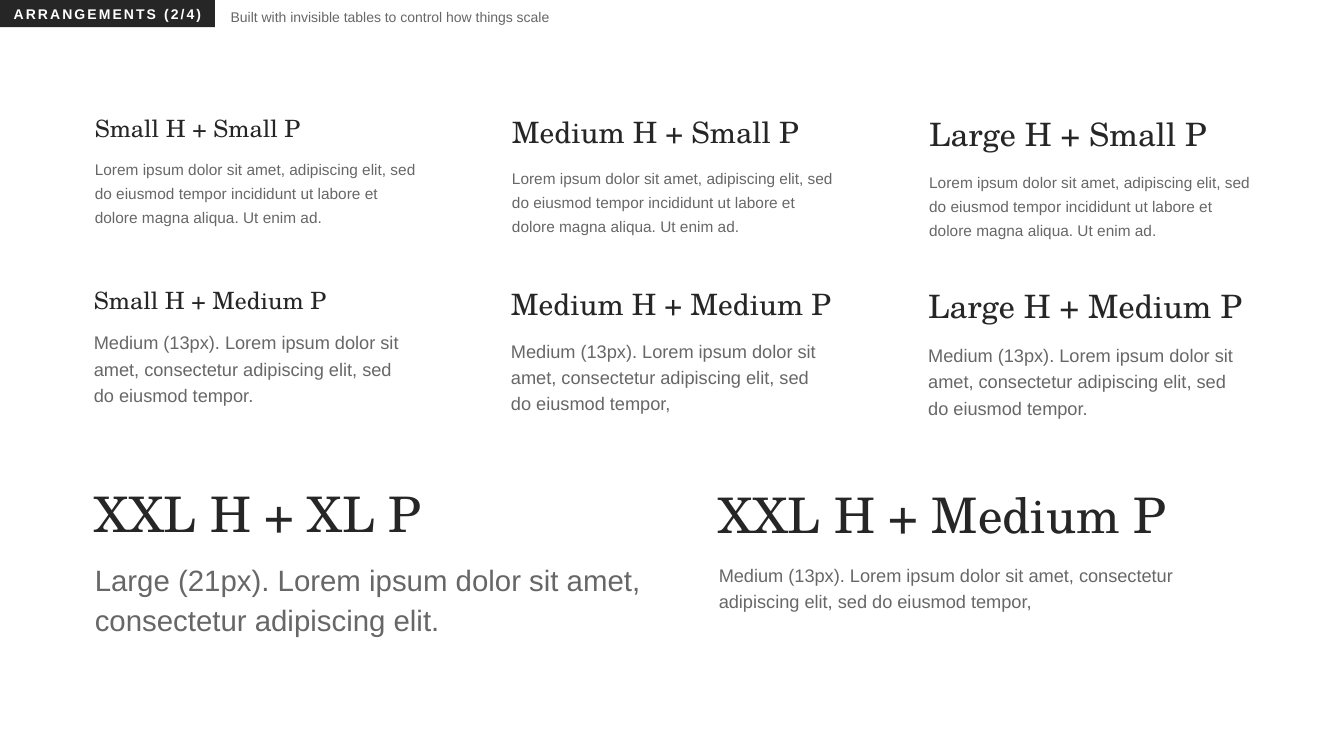
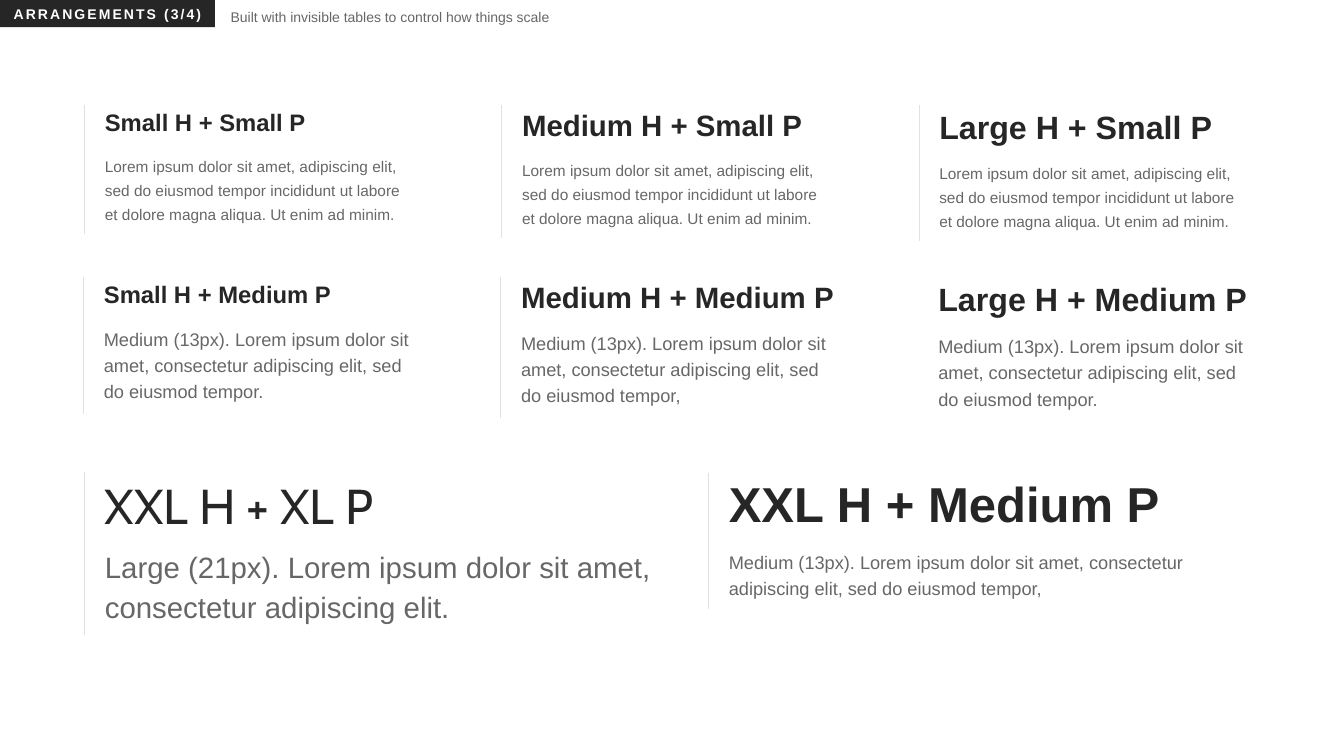
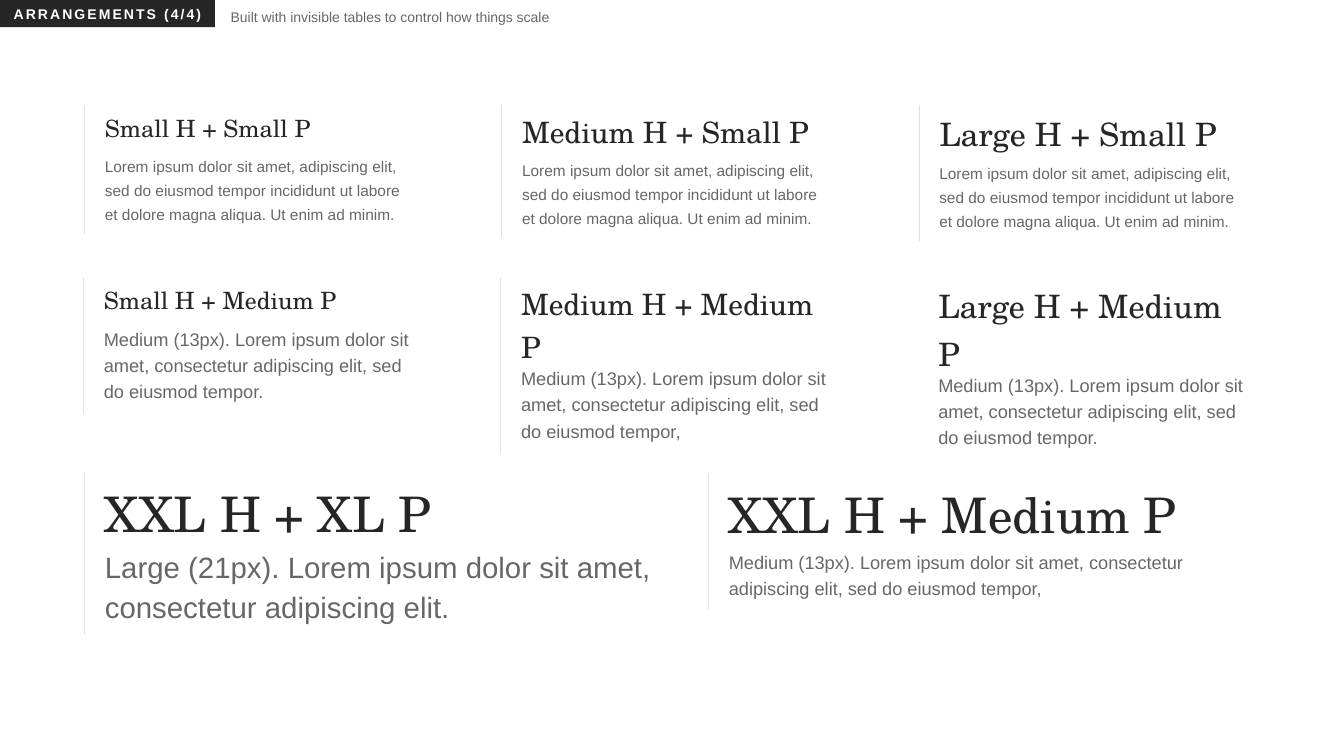
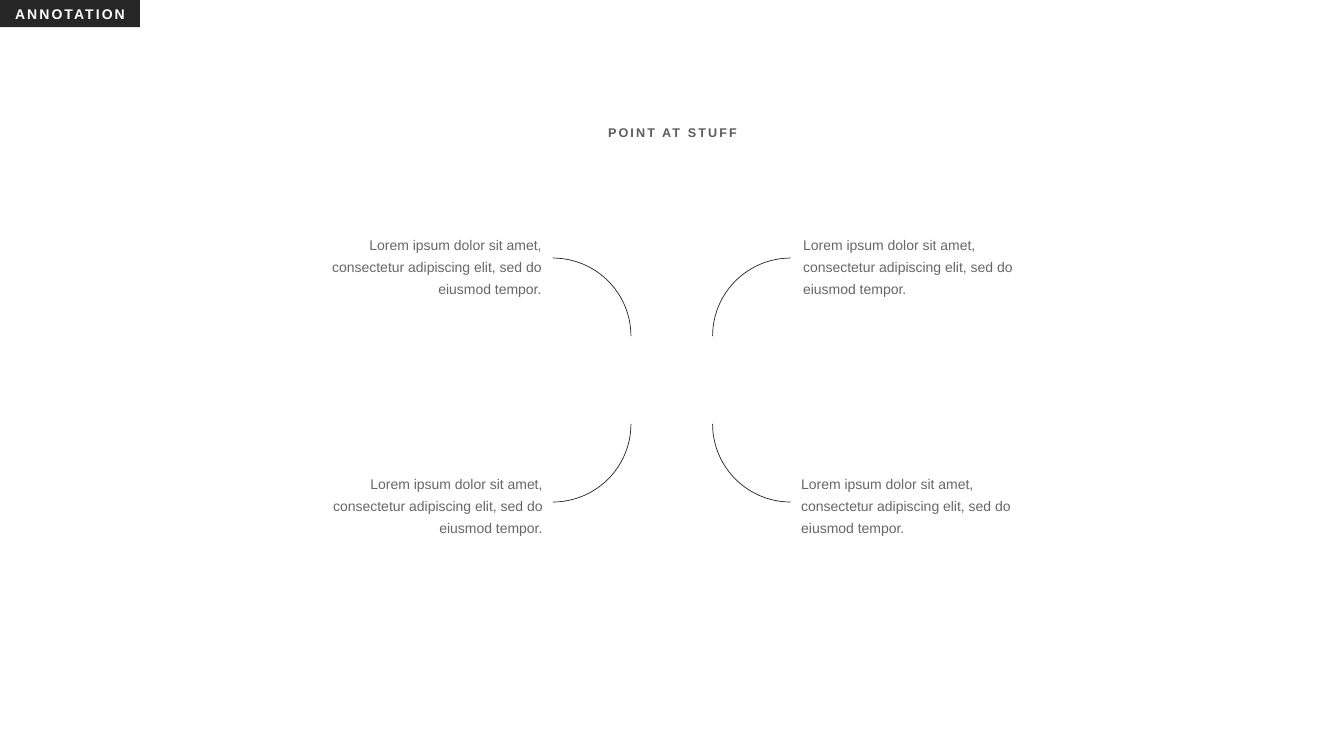
"""Builds four slides of text arrangements and annotation arcs."""
from dataclasses import dataclass

from lxml.etree import SubElement
from pptx import Presentation
from pptx.dml.color import RGBColor
from pptx.enum.shapes import MSO_SHAPE as Shape
from pptx.enum.text import MSO_ANCHOR as Anchor, MSO_AUTO_SIZE as AutoSize, PP_ALIGN as Align
from pptx.oxml.ns import qn
from pptx.util import Pt


@dataclass(frozen=True)
class Theme:
    """Colours, fonts and type sizes shared by the slides."""
    ink: str = "262626"
    body: str = "676767"
    caption: str = "5C5C5C"
    rule: str = "E1E1E1"
    paper: str = "FFFFFF"
    sans: str = "Arial"
    serif: str = "TeX Gyre Schola"
    display: str = "Cabin"
    label_size: float = 10
    caption_size: float = 9
    tracking: str = "150"


@dataclass(frozen=True)
class Block:
    """A heading and paragraph pair with its place on the slide."""
    heading: str
    paragraph: str
    end: str
    left: float
    top: float
    width: float
    height: float


THEME = Theme()
HEADING_SIZES = {"Small": 17, "Medium": 21, "Large": 23, "XXL": 35}
PARAGRAPH_STYLES = {"Small": (11, 1.4), "Medium": (13, 1.3), "XL": (21, 1.2)}
PARAGRAPHS = {
    "Small": "Lorem ipsum dolor sit amet, adipiscing elit, sed do eiusmod tempor "
             "incididunt ut labore et dolore magna aliqua. Ut enim ",
    "Medium": "Medium (13px). Lorem ipsum dolor sit amet, consectetur adipiscing elit, "
              "sed do eiusmod tempor",
    "XL": "Large (21px). Lorem ipsum dolor sit amet, consectetur adipiscing elit",
}
ANNOTATION = "Lorem ipsum dolor sit amet, consectetur adipiscing elit, sed do eiusmod tempor."
SUBTITLE = "Built with invisible tables to control how things scale"
GRID_LEFT, GRID_PITCH, ROW_SHIFT, COLUMN_WIDTH = 60.5, 298, 0.7, 244
ROW_HEIGHT = 29.5
GRID_ROWS = [
    ("Small", 75, [("Small", 90), ("Medium", 93), ("Large", 95)]),
    ("Medium", 198, [("Small", 95), ("Medium", 98.6), ("Large", 100.8)]),
]


def apply(target, values):
    """Set every named attribute on the target."""
    for attribute, value in values.items():
        setattr(target, attribute, value)


def write(frame, text, size, color, font=THEME.sans, bold=False, align=Align.LEFT,
          spacing=None, tracking=None):
    """Write one formatted paragraph into a text frame."""
    paragraph = frame.paragraphs[0]
    apply(paragraph, {"alignment": align, "line_spacing": spacing})
    run = paragraph.add_run()
    run.text = text
    apply(run.font, {"size": Pt(size), "name": font, "bold": bold})
    run.font.color.rgb = RGBColor.from_string(color)
    if tracking:
        run.font._element.set("spc", tracking)


def add_text(shapes, box, text, size=THEME.label_size, color=THEME.body, **style):
    """Add a wrapping text box that fits its text."""
    frame = shapes.add_textbox(*map(Pt, box)).text_frame
    apply(frame, {"word_wrap": True, "auto_size": AutoSize.SHAPE_TO_FIT_TEXT})
    write(frame, text, size, color, **style)


def add_tag(slide, text, width):
    """Add the dark label in the top left corner."""
    tag = slide.shapes.add_shape(Shape.RECTANGLE, 0, 0, Pt(width), Pt(19.4))
    tag.shadow.inherit = False
    tag.fill.solid()
    tag.fill.fore_color.rgb = RGBColor.from_string(THEME.ink)
    tag.line.fill.background()
    apply(tag.text_frame, {"word_wrap": True, "vertical_anchor": Anchor.MIDDLE,
                           "auto_size": AutoSize.SHAPE_TO_FIT_TEXT})
    write(tag.text_frame, text, THEME.label_size, THEME.paper, bold=True,
          align=Align.CENTER, tracking=THEME.tracking)


def set_borders(cell, ruled):
    """Clear the cell borders, keeping a thin left rule when asked."""
    properties = cell._tc.get_or_add_tcPr()
    for side in ("lnL", "lnR", "lnT", "lnB"):
        border = SubElement(properties, qn(f"a:{side}"), w=str(Pt(1)))
        if ruled and side == "lnL":
            fill = SubElement(border, qn("a:solidFill"))
            SubElement(fill, qn("a:srgbClr"), val=THEME.rule)
        else:
            SubElement(border, qn("a:noFill"))


def add_block(slide, block, font, bold, ruled, inset):
    """Add a heading and its paragraph as an invisible two-row table."""
    holder = slide.shapes.add_table(
        2, 1, *map(Pt, (block.left, block.top, block.width, 2 * ROW_HEIGHT)))
    table = holder.table
    apply(table, {"first_row": False, "horz_banding": False})
    for row in table.rows:
        row.height = Pt(ROW_HEIGHT)
    holder.height = Pt(block.height)
    heading, paragraph = table.cell(0, 0), table.cell(1, 0)
    for cell in (heading, paragraph):
        apply(cell, {"margin_left": Pt(inset), "margin_right": Pt(7.2),
                     "margin_top": Pt(3.6), "margin_bottom": Pt(3.6)})
        set_borders(cell, ruled)
        cell.fill.background()
    write(heading.text_frame, f"{block.heading} H + {block.paragraph} P",
          HEADING_SIZES[block.heading], THEME.ink, font, bold)
    size, spacing = PARAGRAPH_STYLES[block.paragraph]
    write(paragraph.text_frame, PARAGRAPHS[block.paragraph] + block.end, size,
          THEME.body, spacing=spacing)


def arrange(small_end, middle_width=COLUMN_WIDTH):
    """List the eight blocks of an arrangement slide."""
    blocks = []
    for row, (paragraph, top, headings) in enumerate(GRID_ROWS):
        for column, (heading, height) in enumerate(headings):
            centre = (row, column) == (1, 1)
            end = small_end if row == 0 else "," if centre else "."
            left = GRID_LEFT + column * GRID_PITCH - row * ROW_SHIFT
            width = middle_width if centre else COLUMN_WIDTH
            blocks.append(Block(heading, paragraph, end, left, top, width, height))
    return blocks + [
        Block("XXL", "XL", ".", GRID_LEFT, 337, 438.5, 113.8),
        Block("XXL", "Medium", ",", 506.2, 337.6, 395.3, 95),
    ]


def add_arrangement(slide, number, blocks, font, bold=False, ruled=True, display=None):
    """Fill a slide with heading and paragraph pairings."""
    for block in blocks:
        is_display = display and block.paragraph == "XL"
        is_plain = (block.heading, block.paragraph) == ("Large", "Medium")
        add_block(slide, block, display if is_display else font,
                  bold and not is_display, ruled and not is_plain, 14.4 if ruled else 7.2)
    add_tag(slide, f"ARRANGEMENTS ({number}/4)", 153.5)
    add_text(slide.shapes, (157.7, -2.2, 384.5, 22.3), SUBTITLE, spacing=1.4)


def add_pointer(slide, arc_left, arc_top, flips, text_box, align):
    """Add an annotation grouped with its quarter arc."""
    shapes = slide.shapes.add_group_shape().shapes
    arc = shapes.add_shape(Shape.ARC, *map(Pt, (arc_left, arc_top, 111.6, 111.6)))
    arc.shadow.inherit = False
    arc.fill.background()
    arc.line.color.rgb = RGBColor.from_string(THEME.ink)
    arc.line.width = Pt(0.5)
    for flip in flips:
        arc._element.spPr.find(qn("a:xfrm")).set(flip, "1")
    add_text(shapes, text_box, ANNOTATION, align=align, spacing=1.3)


def add_annotations(slide):
    """Fill the slide that points at its centre."""
    add_tag(slide, "ANNOTATION", 100)
    add_text(slide.shapes, (417, 85.7, 126.7, 18), "POINT AT STUFF", THEME.caption_size,
             THEME.caption, bold=True, align=Align.CENTER, tracking=THEME.tracking)
    sides = [(509, ["flipH"], Align.LEFT, (566.6, 565.2)),
             (339.1, [], Align.RIGHT, (217.4, 213.8))]
    levels = [(184.3, [], 162, 176.4), (247, ["flipV"], 332.6, 180.7)]
    for arc_left, side_flip, align, text_lefts in sides:
        for text_left, (arc_top, level_flip, text_top, width) in zip(text_lefts, levels):
            add_pointer(slide, arc_left, arc_top, side_flip + level_flip,
                        (text_left, text_top, width, 52.6), align)


def main():
    """Build and save the presentation."""
    deck = Presentation()
    apply(deck, {"slide_width": Pt(960), "slide_height": Pt(540)})
    slides = [deck.slides.add_slide(deck.slide_layouts[6]) for _ in range(4)]
    add_arrangement(slides[0], 2, arrange("ad."), THEME.serif, ruled=False)
    add_arrangement(slides[1], 3, arrange("ad minim.", 250.6), THEME.sans, bold=True,
                    display=THEME.display)
    add_arrangement(slides[2], 4, arrange("ad minim."), THEME.serif)
    add_annotations(slides[3])
    deck.save("out.pptx")


if __name__ == "__main__":
    main()
